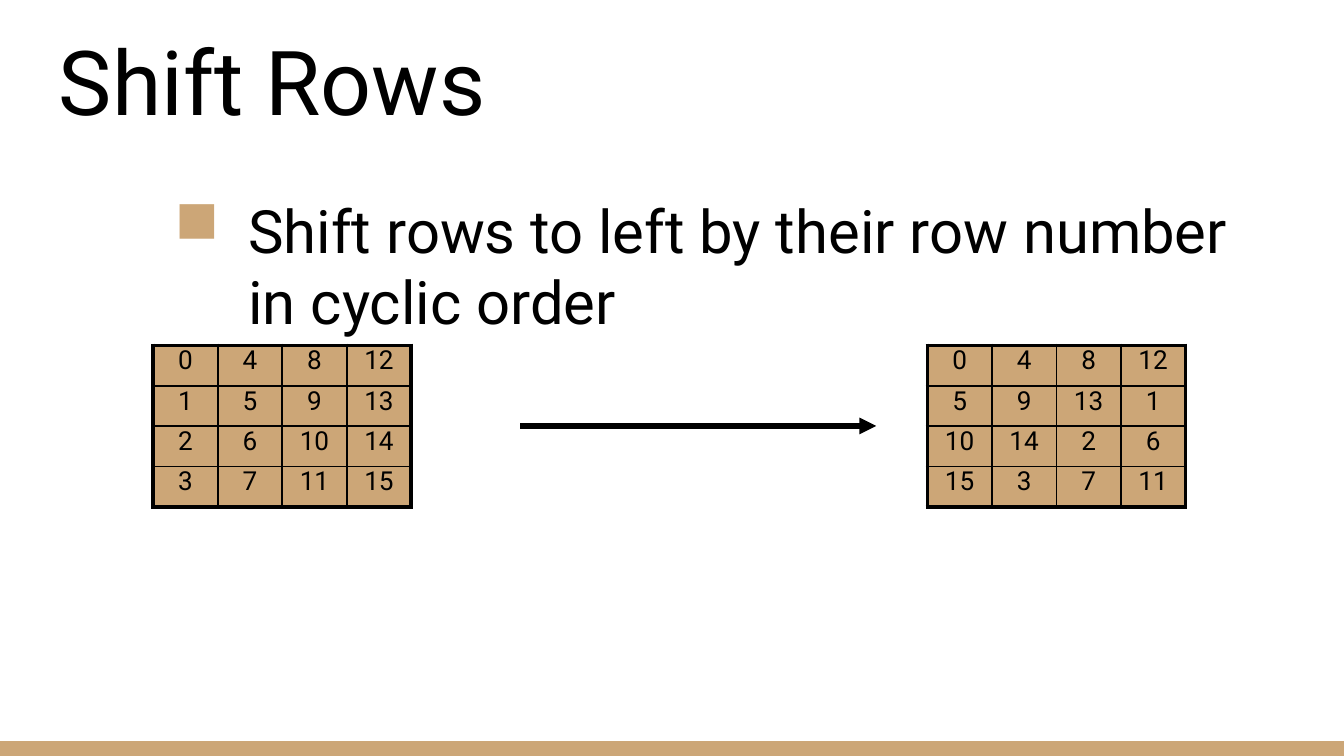
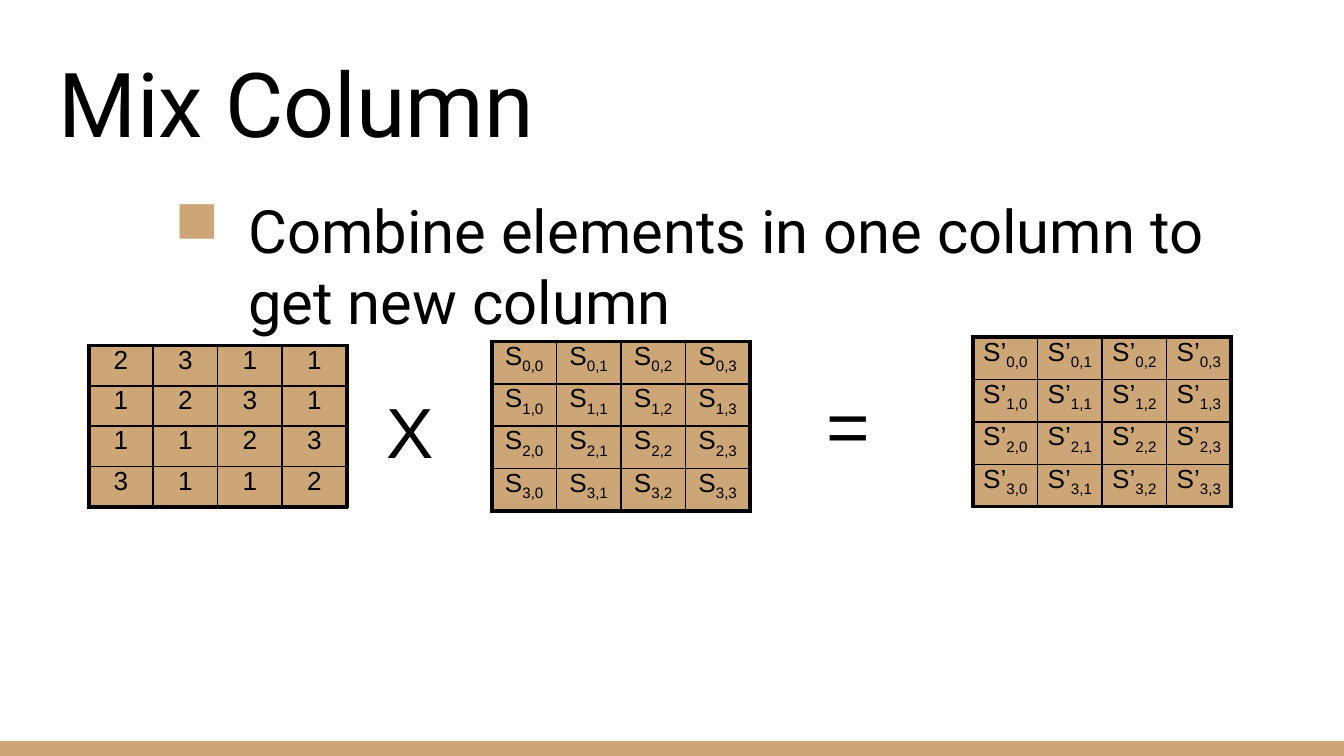
from dataclasses import dataclass

from lxml import etree
from pptx import Presentation
from pptx.dml.color import RGBColor
from pptx.enum.shapes import MSO_CONNECTOR, MSO_SHAPE
from pptx.enum.text import MSO_ANCHOR, PP_ALIGN
from pptx.oxml.ns import qn
from pptx.util import Inches, Pt

RECTANGLE = MSO_SHAPE.RECTANGLE
STRAIGHT = MSO_CONNECTOR.STRAIGHT
TOP, BOTTOM = MSO_ANCHOR.TOP, MSO_ANCHOR.BOTTOM
LEFT, CENTER = PP_ALIGN.LEFT, PP_ALIGN.CENTER

TAN, BLACK = "CCA677", "000000"
ROBOTO, ARIAL = "Roboto", "Arial"

# The slide is a grid of square units, a tenth of an inch each
COLUMNS, ROWS = 100, 56.25
SIDE = 4  # cells along each side of a matrix
CELL_WIDTH = 4.8
INNER_BORDER, OUTER_BORDER = 1, 2.25


@dataclass
class Box:
    left: float
    top: float
    width: float
    height: float

    def emu(self):
        return [units(n) for n in (self.left, self.top, self.width, self.height)]


def units(count):
    return Inches(count / 10)


def color(hex_string):
    return RGBColor.from_string(hex_string)


def add_child(parent, tag, **attributes):
    return etree.SubElement(parent, qn(tag), attributes)


def set_font(font, name, size):
    font.name, font.size = name, Pt(size)
    font.color.rgb = color(BLACK)


def add_text(slide, box, text, size, name=ROBOTO, anchor=TOP, align=LEFT):
    frame = slide.shapes.add_textbox(*box.emu()).text_frame
    frame.word_wrap = True
    frame.vertical_anchor = anchor
    frame.margin_left = frame.margin_right = units(1)
    frame.margin_top = frame.margin_bottom = units(1)
    paragraph = frame.paragraphs[0]
    paragraph.text, paragraph.alignment = text, align
    set_font(paragraph.font, name, size)
    return paragraph


def add_band(slide, box):
    band = slide.shapes.add_shape(RECTANGLE, *box.emu())
    band.shadow.inherit = False
    band.fill.solid()
    band.fill.fore_color.rgb = color(TAN)
    band.line.fill.background()


def add_statement(slide, box, text):
    paragraph = add_text(slide, box, text, 32)
    paragraph.level = 2
    properties = paragraph._p.get_or_add_pPr()
    properties.set("marL", str(units(14.1)))
    properties.set("indent", str(units(-5.5)))
    # Bullet settings come before the default font in the schema
    bullet_color = etree.Element(qn("a:buClr"))
    add_child(bullet_color, "a:srgbClr", val=TAN)
    bullet = etree.Element(qn("a:buChar"), char="■")
    properties.insert(0, bullet_color)
    properties.insert(1, bullet)


def start_slide(deck, title, title_top, statement, statement_height):
    """Lay out the band, title and statement that every slide has."""
    slide = deck.slides.add_slide(deck.slide_layouts[6])
    add_band(slide, Box(0, ROWS - 1.1, COLUMNS, 1.1))
    add_text(slide, Box(3.4, title_top, 93.2, 9.1), title, 48, anchor=BOTTOM)
    add_statement(slide, Box(3.4, 13.4, 93.2, statement_height), statement)
    return slide


def style_cell(cell, row, column):
    cell.margin_left = cell.margin_right = cell.margin_top = cell.margin_bottom = 0
    properties = cell._tc.get_or_add_tcPr()
    last = SIDE - 1
    outer_sides = {"L": column == 0, "R": column == last, "T": row == 0, "B": row == last}
    for side, is_outer in outer_sides.items():
        width = Pt(OUTER_BORDER if is_outer else INNER_BORDER)
        border = add_child(properties, f"a:ln{side}", w=str(width))
        add_child(add_child(border, "a:solidFill"), "a:srgbClr", val=BLACK)
    cell.fill.solid()
    cell.fill.fore_color.rgb = color(TAN)


def add_matrix(slide, left, top, entry, row_height=3, name=ROBOTO):
    """Draw a matrix; entry(row, column) gives a symbol and its subscript."""
    box = Box(left, top, SIDE * CELL_WIDTH, SIDE * row_height)
    matrix = slide.shapes.add_table(SIDE, SIDE, *box.emu()).table
    matrix.first_row = matrix.horz_banding = False
    for index in range(SIDE):
        matrix.columns[index].width = units(CELL_WIDTH)
        matrix.rows[index].height = units(row_height)
    for row in range(SIDE):
        for column in range(SIDE):
            cell = matrix.cell(row, column)
            style_cell(cell, row, column)
            paragraph = cell.text_frame.paragraphs[0]
            paragraph.alignment = CENTER
            set_font(paragraph.font, name, 14)
            symbol, subscript = entry(row, column)
            paragraph.add_run().text = str(symbol)
            if subscript:
                run = paragraph.add_run()
                run.text = subscript
                run._r.get_or_add_rPr().set("baseline", "-25000")


def add_arrow(slide, left, right, middle):
    arrow = slide.shapes.add_connector(
        STRAIGHT, units(left), units(middle), units(right), units(middle))
    arrow.line.color.rgb = color(BLACK)
    arrow.line.width = Pt(3)
    add_child(arrow.line._get_or_add_ln(), "a:tailEnd", type="triangle")
    add_child(arrow._element.spPr, "a:effectLst")


# Matrix contents
def state(row, column):
    return SIDE * column + row, ""


def shifted_state(row, column):
    return state(row, (column + row) % SIDE)


def mix_factor(row, column):
    return (2, 3, 1, 1)[(column - row) % SIDE], ""


def old_element(row, column):
    return "S", f"{row},{column}"


def new_element(row, column):
    return "S’", f"{row},{column}"


def shift_rows_slide(deck):
    slide = start_slide(
        deck, "Shift Rows", 1.8,
        "Shift rows to left by their row number in cyclic order", 36.7)
    add_matrix(slide, 11.4, 25.7, state)
    add_arrow(slide, 38.7, 65.2, 31.7)
    add_matrix(slide, 69, 25.7, shifted_state)


def mix_column_slide(deck):
    slide = start_slide(
        deck, "Mix Column", 3.5,
        "Combine elements in one column to get new column", 7.9)
    add_matrix(slide, 6.6, 25.7, mix_factor, name=ARIAL)
    add_text(slide, Box(27.5, 27.8, 6.1, 7.9), "X", 38, ARIAL, align=CENTER)
    add_text(slide, Box(60.5, 27.2, 7.9, 9.1), "=", 40, ARIAL)
    add_matrix(slide, 36.6, 25.4, old_element, 3.15, ARIAL)
    add_matrix(slide, 72.4, 25.1, new_element, 3.15, ARIAL)


def main():
    deck = Presentation()
    deck.slide_width, deck.slide_height = units(COLUMNS), units(ROWS)
    shift_rows_slide(deck)
    mix_column_slide(deck)
    deck.save("out.pptx")


if __name__ == "__main__":
    main()
